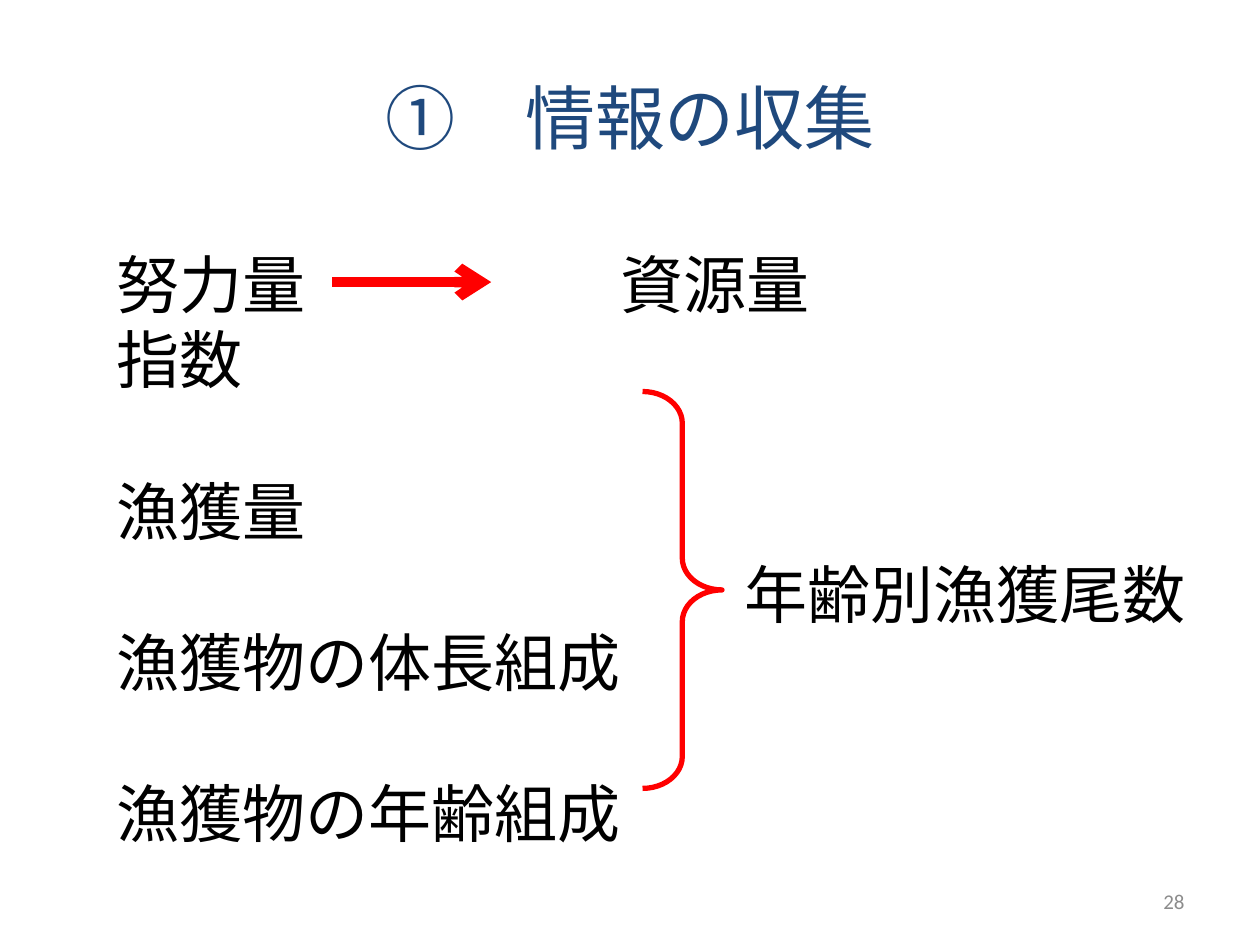
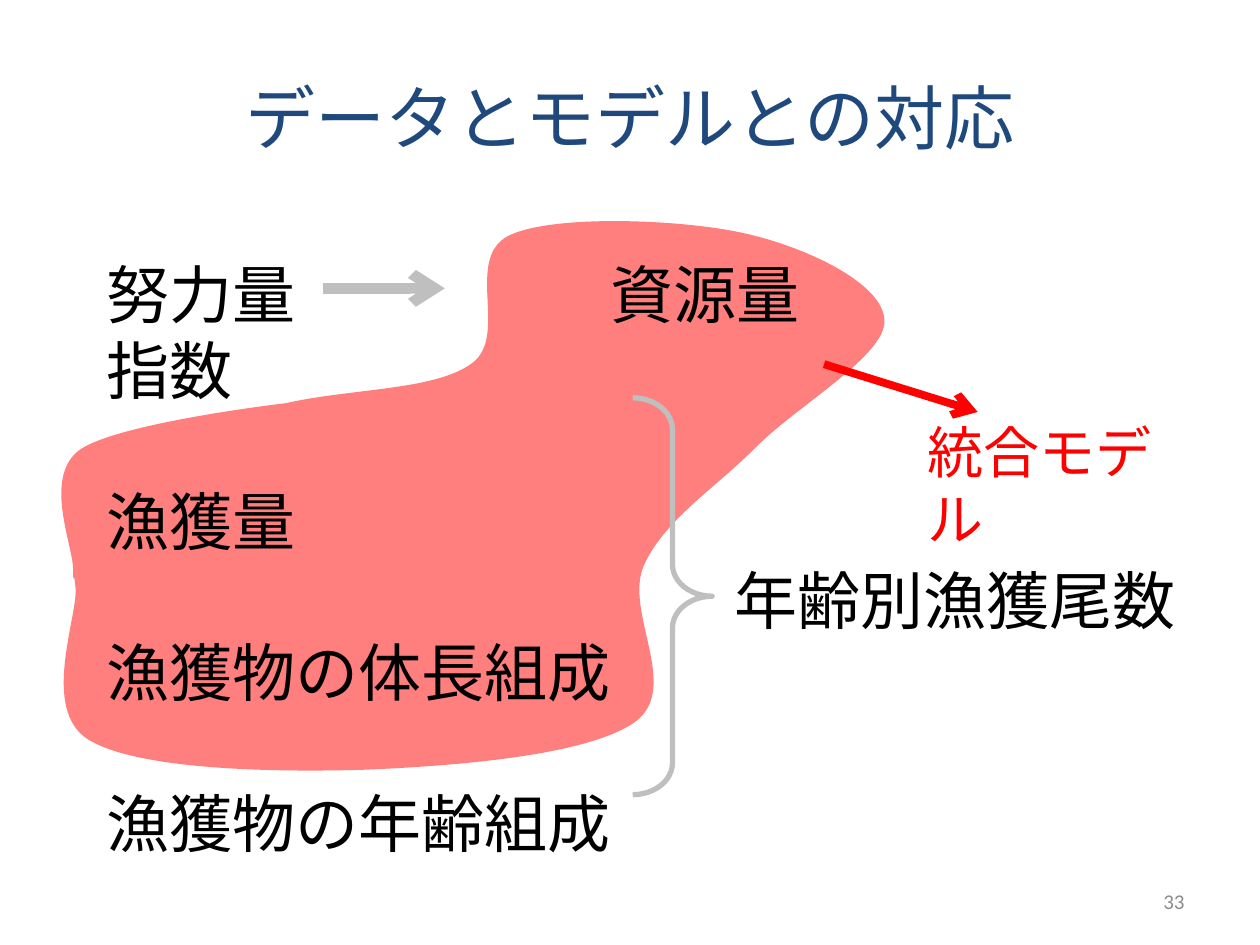
import pptx
import pptx.util
import pptx.dml.color
import pptx.enum.lang
import pptx.enum.shapes
import pptx.enum.text
import pptx.oxml
import pptx.oxml.ns

Pt = pptx.util.Pt
RGB = pptx.dml.color.RGBColor
ALIGN = pptx.enum.text.PP_ALIGN
MIDDLE = pptx.enum.text.MSO_ANCHOR.MIDDLE
NAVY = RGB(0x1F, 0x49, 0x7D)
BLACK = RGB(0, 0, 0)
RED = RGB(0xFF, 0, 0)
SILVER = RGB(0xBF, 0xBF, 0xBF)
GREY = RGB(0x8C, 0x8C, 0x8C)
FONT = "Calibri"

DATA = ["努力量\t資源量指数", "漁獲量", "漁獲物の体長組成", "漁獲物の年齢組成"]
RESULT = "年齢別漁獲尾数"
SIZE = 36
TAB = 8 * SIZE
GAP = 43.2

PAGES = [
    dict(title="①　情報の収集", number="28", color=RED, shift=(0, 0),
         list_at=(59.4, 136.6), arrow=90.7),
    dict(title="データとモデルとの対応", number="33", color=SILVER, shift=(-5.6, 3.6),
         list_at=(53.6, 142.4), arrow=69.8),
]
MODEL = "統合モデル"

# Outline of the model area: its box, a start, then (control, control, end) per curve
AREA = (34.6, 126, 470.9, 313.9)
START = (43.2, 336.2)
CURVES = [
    ((41.8, 320.4), (41.8, 339.8), (41.8, 326.2)),
    ((42.5, 313.2), (24.5, 274.3), (44.6, 257.8)),
    ((64.8, 241.9), (163.4, 230.4), (163.4, 230.4)),
    ((201.6, 221.8), (249.1, 223.2), (270, 207.4)),
    ((290.9, 191.5), (265, 147.6), (290.9, 134.6)),
    ((316.1, 122.4), (389.5, 125.3), (424.8, 133.2)),
    ((460.8, 141.1), (504.7, 162), (505.4, 182.9)),
    ((506.9, 203), (454.3, 232.6), (431.3, 256.3)),
    ((408.2, 279.4), (379.4, 297.4), (367.9, 323.3)),
    ((356.4, 349.9), (389.5, 393.1), (362.9, 412.6)),
    ((335.5, 432), (259.2, 437.8), (207.4, 439.9)),
    ((155.5, 441.4), (78.5, 439.9), (50.4, 422.6)),
    ((23, 405.4), (44.6, 352.1), START),
]


def add_xml(parent, tag, **attrs):
    node = pptx.oxml.parse_xml(f'<{tag} {pptx.oxml.ns.nsdecls("a")}/>')
    for name, value in attrs.items():
        node.set(name, str(value))
    parent.append(node)
    return node


def style(frame, size, color, align=ALIGN.LEFT):
    for para in frame.paragraphs:
        para.alignment = align
        for run in para.runs:
            font = run.font
            font.name, font.size = FONT, Pt(size)
            font.color.rgb = color
            font.language_id = pptx.enum.lang.MSO_LANGUAGE_ID.JAPANESE


def add_text(slide, box, lines, size, color, align=ALIGN.LEFT):
    frame = slide.shapes.add_textbox(*map(Pt, box)).text_frame
    frame.word_wrap = True
    frame.text = "\n".join(lines)
    style(frame, size, color, align)
    return frame


def add_list(slide, left, top):
    frame = add_text(slide, (left, top, 426.2, 399.6), DATA, SIZE, BLACK)
    first, *rest = frame.paragraphs
    tabs = add_xml(first._p.get_or_add_pPr(), "a:tabLst")
    add_xml(tabs, "a:tab", pos=Pt(TAB), algn="l")
    for para in rest:
        para.space_before = Pt(GAP)


def add_arrow(slide, ends, color, width):
    kind = pptx.enum.shapes.MSO_CONNECTOR.STRAIGHT
    line = slide.shapes.add_connector(kind, *map(Pt, ends))
    line.line.color.rgb = color
    line.line.width = Pt(width)
    add_xml(line.line._get_or_add_ln(), "a:tailEnd", type="arrow")
    add_xml(line._element.spPr, "a:effectLst")


def add_brace(slide, left, top, color):
    kind = pptx.enum.shapes.MSO_SHAPE.RIGHT_BRACE
    brace = slide.shapes.add_shape(kind, *map(Pt, (left, top, 45.4, 226.8)))
    brace.adjustments[0] = 0.4
    brace.shadow.inherit = False
    brace.fill.background()
    brace.line.color.rgb = color
    brace.line.width = Pt(3)


def bend(area):
    """Turn the straight sides of the area into its curves."""
    left, top, width, height = AREA
    area.left, area.top, area.width, area.height = map(Pt, AREA)
    route = area._element.spPr.find(".//" + pptx.oxml.ns.qn("a:path"))
    route.set("w", str(Pt(width)))
    route.set("h", str(Pt(height)))
    for node in list(route):
        route.remove(node)
    moves = [("a:moveTo", [START])] + [("a:cubicBezTo", curve) for curve in CURVES]
    for tag, points in moves:
        move = add_xml(route, tag)
        for x, y in points:
            add_xml(move, "a:pt", x=Pt(x - left), y=Pt(y - top))
    add_xml(route, "a:close")


def add_area(slide):
    pen = slide.shapes.build_freeform(*map(Pt, START))
    pen.add_line_segments([tuple(map(Pt, curve[-1])) for curve in CURVES])
    area = pen.convert_to_shape()
    bend(area)
    area.shadow.inherit = False
    area.fill.solid()
    area.fill.fore_color.rgb = RED
    tint = area._element.spPr.find(".//" + pptx.oxml.ns.qn("a:srgbClr"))
    add_xml(tint, "a:alpha", val=50000)
    area.line.fill.background()


def add_page(deck, page):
    slide = deck.slides.add_slide(deck.slide_layouts[5])
    title = slide.shapes.title
    title.left, title.top, title.width, title.height = map(Pt, (36, 21.6, 648, 90))
    title.text_frame.text = page["title"]
    title.text_frame.vertical_anchor = MIDDLE
    style(title.text_frame, 40, NAVY, ALIGN.CENTER)
    return slide


def add_flow(slide, page):
    dx, dy = page["shift"]
    add_brace(slide, 367.2 + dx, 223.7 + dy, page["color"])
    add_text(slide, (418.3 + dx, 313.9 + dy, 269.3, 51.1), [RESULT], SIZE, BLACK)
    x, y = 190 + dx, 161.2 + dy
    add_arrow(slide, (x, y, x + page["arrow"], y), page["color"], 6)
    add_list(slide, *page["list_at"])


def add_number(slide, number):
    frame = add_text(slide, (516.2, 500.4, 167.8, 28.8), [number], 12, GREY, ALIGN.RIGHT)
    frame.vertical_anchor = MIDDLE


def main():
    deck = pptx.Presentation()
    deck.slide_width, deck.slide_height = Pt(720), Pt(540)
    first, second = (add_page(deck, page) for page in PAGES)
    add_area(second)
    for slide, page in zip((first, second), PAGES):
        add_flow(slide, page)
        add_number(slide, page["number"])
    add_arrow(second, (470.9, 208.1, 558.7, 235.4), RED, 4.5)
    add_text(second, (522.7, 235, 171.4, 46.1), [MODEL], 32, RED)
    deck.save("out.pptx")


if __name__ == "__main__":
    main()
